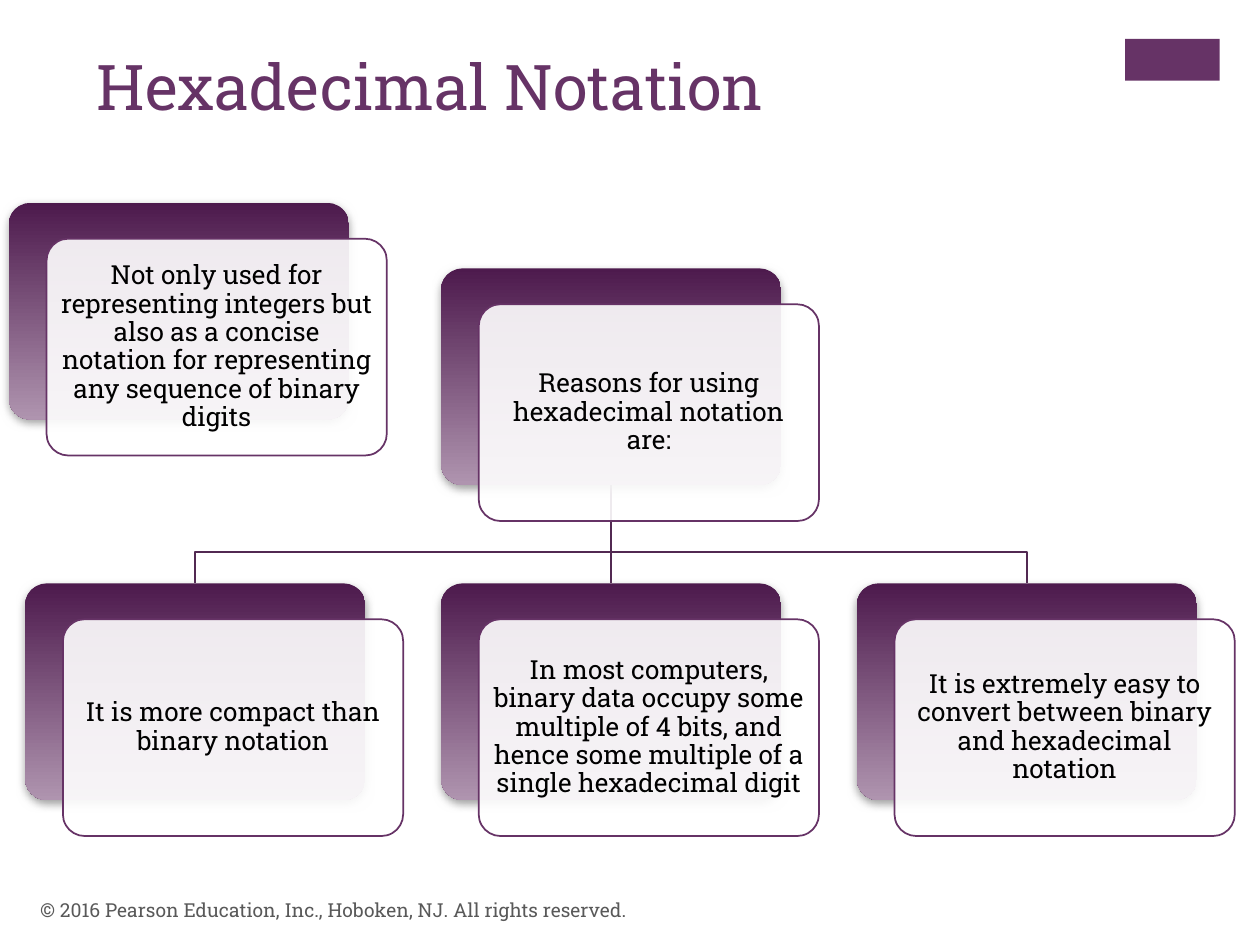
from lxml import etree
from pptx import Presentation
from pptx.dml.color import RGBColor
from pptx.enum.shapes import MSO_CONNECTOR, MSO_SHAPE
from pptx.enum.text import MSO_ANCHOR, PP_ALIGN
from pptx.oxml import parse_xml
from pptx.oxml.ns import nsdecls, qn
from pptx.util import Inches, Pt

TITLE = "Hexadecimal Notation"
REMARK = ("Not only used for representing integers but also as a concise "
          "notation for representing any sequence of binary digits")
ROOT = "Reasons for using hexadecimal notation are:"
REASONS = [
    "It is more compact than binary notation",
    "In most computers, binary data occupy some multiple of 4 bits, "
    "and hence some multiple of a single hexadecimal digit",
    "It is extremely easy to convert between binary and hexadecimal notation",
]
COPYRIGHT = "© 2016 Pearson Education, Inc., Hoboken, NJ. All rights reserved."

FONT = "Roboto Slab"
PURPLE = RGBColor(0x66, 0x33, 0x66)
DARK = RGBColor(0x4D, 0x1A, 0x4D)
PALE = RGBColor(0xAF, 0x94, 0xAF)
BRANCH = RGBColor(0x52, 0x29, 0x52)
WHITE = RGBColor(0xFF, 0xFF, 0xFF)
BLACK = RGBColor(0, 0, 0)
GREY = RGBColor(0x59, 0x59, 0x59)

RECTANGLE = MSO_SHAPE.RECTANGLE
ROUNDED = MSO_SHAPE.ROUNDED_RECTANGLE
STRAIGHT = MSO_CONNECTOR.STRAIGHT
TOP, MIDDLE = MSO_ANCHOR.TOP, MSO_ANCHOR.MIDDLE
LEFT, CENTER = PP_ALIGN.LEFT, PP_ALIGN.CENTER
TOP_SITE, BOTTOM_SITE = 0, 2

CARD_W, CARD_H = 2.7, 1.72
SHIFT_X, SHIFT_Y = 0.3, 0.285
FIRST_X, STEP_X = 0.2, 3.3
ROOT_Y, REASON_Y, FORK_Y = 2.13, 4.63, 4.38
reason_xs = [FIRST_X + i * STEP_X for i in range(len(REASONS))]
root_x = reason_xs[1]

prs = Presentation()
prs.slide_width, prs.slide_height = Inches(10), Inches(7.5)
slide = prs.slides.add_slide(prs.slide_layouts[6])
shapes = slide.shapes


def write(shape, text, size, color, align, anchor):
    frame = shape.text_frame
    frame.word_wrap = True
    frame.vertical_anchor = anchor
    paragraph = frame.paragraphs[0]
    paragraph.text = text
    paragraph.alignment = align
    paragraph.font.name = FONT
    paragraph.font.size = Pt(size)
    paragraph.font.color.rgb = color
    return frame


def add_label(x, y, w, h, text, size, color, anchor):
    box = shapes.add_textbox(Inches(x), Inches(y), Inches(w), Inches(h))
    write(box, text, size, color, LEFT, anchor)


def add_panel(kind, x, y, w, h):
    panel = shapes.add_shape(kind, Inches(x), Inches(y), Inches(w), Inches(h))
    panel.shadow.inherit = False
    return panel


def add_card(x, y, text):
    back = add_panel(ROUNDED, x, y, CARD_W, CARD_H)
    back.adjustments[0] = 0.1
    back.fill.gradient()
    back.fill.gradient_angle = 270
    for stop, color in zip(back.fill.gradient_stops, (DARK, PALE)):
        stop.color.rgb = color
    back.line.fill.background()
    effects = back._element.spPr.find(qn("a:effectLst"))
    effects.append(parse_xml(
        f'<a:outerShdw {nsdecls("a")} blurRad="{Pt(5)}" dist="{Pt(2)}" dir="5400000" '
        'rotWithShape="0"><a:srgbClr val="808080"><a:alpha val="75000"/></a:srgbClr>'
        '</a:outerShdw>'))

    front = add_panel(ROUNDED, x + SHIFT_X, y + SHIFT_Y, CARD_W, CARD_H)
    front.adjustments[0] = 0.1
    front.fill.solid()
    front.fill.fore_color.rgb = WHITE
    tint = front._element.spPr.find(qn("a:solidFill")).find(qn("a:srgbClr"))
    etree.SubElement(tint, qn("a:alpha")).set("val", "90000")
    front.line.color.rgb = PURPLE
    front.line.width = Pt(1)
    frame = write(front, text, 15, BLACK, CENTER, MIDDLE)
    frame.margin_left = frame.margin_right = Inches(0.06)
    frame.margin_top = frame.margin_bottom = Inches(0.06)
    frame.paragraphs[0].line_spacing = 0.9
    return back


def style_branch(branch):
    branch.line.color.rgb = BRANCH
    branch.line.width = Pt(1)


def add_elbow(start_x, end_x):
    points = [(start_x, FORK_Y), (end_x, FORK_Y), (end_x, REASON_Y)]
    builder = shapes.build_freeform(Inches(start_x), Inches(ROOT_Y + CARD_H))
    builder.add_line_segments([(Inches(x), Inches(y)) for x, y in points], close=False)
    elbow = builder.convert_to_shape()
    elbow.shadow.inherit = False
    elbow.fill.background()
    style_branch(elbow)


marker = add_panel(RECTANGLE, 8.93, 0.31, 0.75, 0.33)
marker.fill.solid()
marker.fill.fore_color.rgb = PURPLE
marker.line.fill.background()
add_label(0.67, 0.33, 8.26, 1.22, TITLE, 36, PURPLE, TOP)

root_mid = root_x + CARD_W / 2
for x in (reason_xs[0], reason_xs[2]):
    add_elbow(root_mid, x + CARD_W / 2)
trunk = shapes.add_connector(STRAIGHT, Inches(root_mid), Inches(ROOT_Y + CARD_H),
                             Inches(root_mid), Inches(REASON_Y))
style_branch(trunk)
etree.SubElement(trunk._element.spPr, qn("a:effectLst"))

add_card(0.07, 1.61, REMARK)
root_card = add_card(root_x, ROOT_Y, ROOT)
reason_cards = [add_card(x, REASON_Y, text) for x, text in zip(reason_xs, REASONS)]
trunk.begin_connect(root_card, BOTTOM_SITE)
trunk.end_connect(reason_cards[1], TOP_SITE)

add_label(0.22, 7.02, 6.7, 0.4, COPYRIGHT, 11, GREY, MIDDLE)

prs.save("out.pptx")
